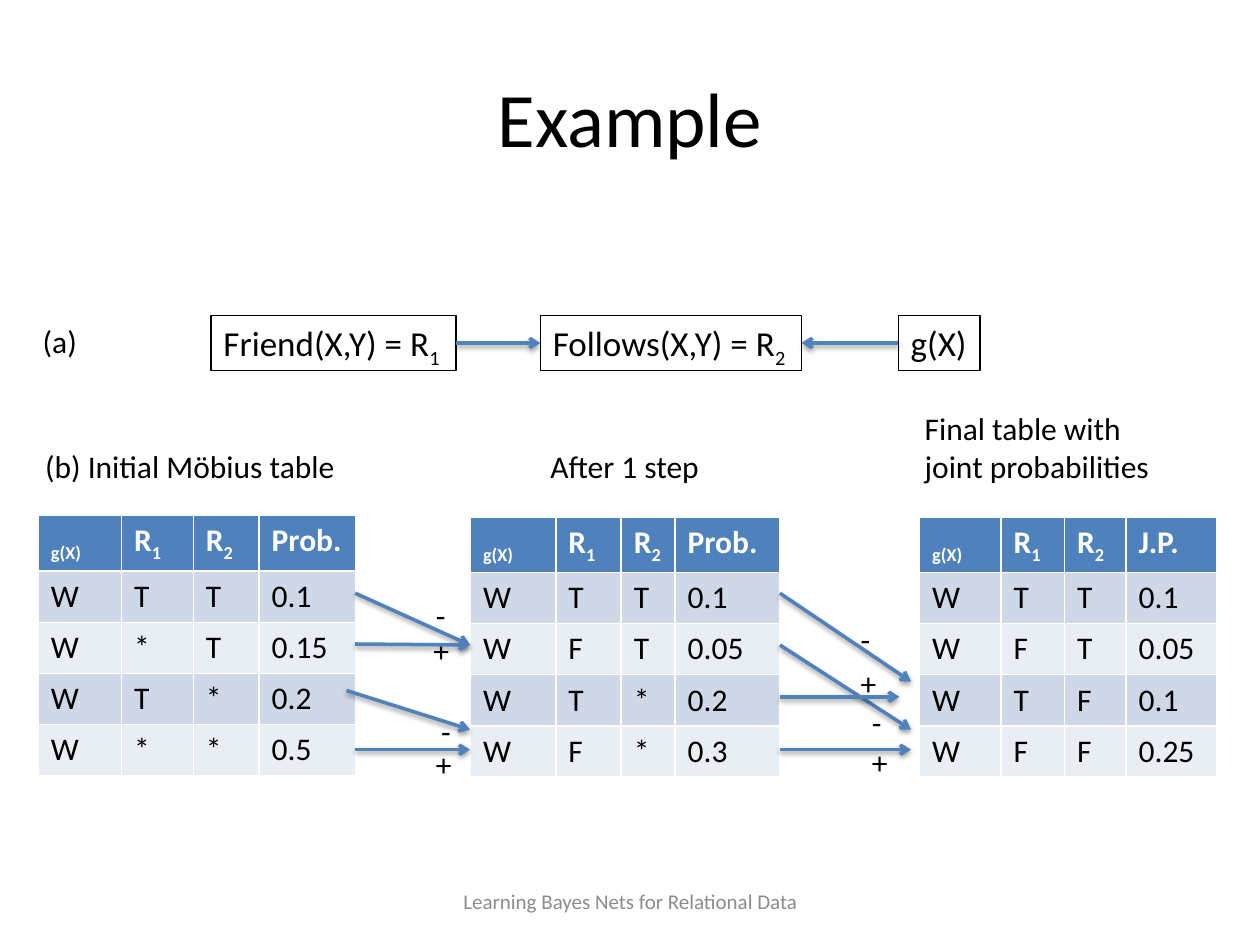
from lxml import etree
from pptx import Presentation, util as u
from pptx.dml.color import RGBColor
from pptx.enum import shapes, text
from pptx.oxml import ns

COLORS = {"black": "000000", "white": "FFFFFF", "blue": "4F81BD",
          "band": "D0D8E8", "light": "E9EDF4", "grey": "8C8C8C"}
LEFT, CENTER = text.PP_ALIGN.LEFT, text.PP_ALIGN.CENTER
TOP, MIDDLE, BOTTOM = (text.MSO_ANCHOR.TOP, text.MSO_ANCHOR.MIDDLE,
                       text.MSO_ANCHOR.BOTTOM)


def write(frame, content, size=18, color="black", bold=False, align=LEFT):
    """Fill the frame with one paragraph; what follows "_" is a subscript."""
    paragraph = frame.paragraphs[0]
    paragraph.alignment = align
    paragraph.font.name = "Calibri"
    paragraph.font.size = u.Pt(size)
    paragraph.font.bold = bold
    paragraph.font.color.rgb = RGBColor.from_string(COLORS[color])
    base, _, subscript = content.partition("_")
    if base:
        paragraph.add_run().text = base
    if subscript:
        run = paragraph.add_run()
        run.text = subscript
        run._r.get_or_add_rPr().set("baseline", "-25000")


def add_arrow(x1, y1, x2, y2):
    arrow = slide.shapes.add_connector(
        shapes.MSO_CONNECTOR.STRAIGHT, u.Pt(x1), u.Pt(y1), u.Pt(x2), u.Pt(y2))
    arrow.line.color.rgb = RGBColor.from_string(COLORS["blue"])
    arrow.line.width = u.Pt(2)
    etree.SubElement(arrow.line._get_or_add_ln(), ns.qn("a:tailEnd"), type="arrow")
    effects = etree.SubElement(arrow._element.spPr, ns.qn("a:effectLst"))
    shadow = etree.SubElement(
        effects, ns.qn("a:outerShdw"), blurRad=str(u.Pt(3.1)),
        dist=str(u.Pt(1.6)), dir="5400000", rotWithShape="0")
    shade = etree.SubElement(shadow, ns.qn("a:srgbClr"), val=COLORS["black"])
    etree.SubElement(shade, ns.qn("a:alpha"), val="38000")
    return arrow


presentation = Presentation()
presentation.slide_width, presentation.slide_height = u.Pt(720), u.Pt(540)
slide = presentation.slides.add_slide(presentation.slide_layouts[6])

# Title, captions and footer: text, left, top, width, height, size, colour, align, anchor
labels = [
    ("Example", 36, 21.6, 648, 90, 44, "black", CENTER, MIDDLE),
    ("(a)", 17.3, 180.7, 34.6, 29, 18, "black", LEFT, TOP),
    ("(b) Initial Möbius table", 18.7, 229.7, 190.8, 51, 18, "black", LEFT, BOTTOM),
    ("After 1 step", 307.4, 229.7, 104.4, 51, 18, "black", LEFT, BOTTOM),
    ("Final table with joint probabilities", 521.3, 229.7, 150.5, 51, 18,
     "black", LEFT, BOTTOM),
    ("Learning Bayes Nets for Relational Data", 246.2, 500.4, 228.2, 28.8, 12,
     "grey", CENTER, MIDDLE),
]
# Signs of the steps: text, left, top
signs = [("-", 244, 337), ("+", 242.6, 357.1), ("-", 247, 403.2), ("+", 244, 421.9),
         ("-", 486.7, 350.6), ("+", 486.7, 375.8), ("-", 493.2, 398.2),
         ("+", 493.2, 421.2)]
labels += [(sign, left, top, 12.2, 29, 18, "black", LEFT, TOP)
           for sign, left, top in signs]
for content, left, top, width, height, size, color, align, anchor in labels:
    box = slide.shapes.add_textbox(u.Pt(left), u.Pt(top), u.Pt(width), u.Pt(height))
    box.text_frame.word_wrap = True
    box.text_frame.vertical_anchor = anchor
    write(box.text_frame, content, size, color, align=align)

# (a) Bayes net
nodes = []
for content, left, width in [("Friend(X,Y) = R_1", 120.6, 140),
                             ("Follows(X,Y) = R_2", 308.8, 149.2),
                             ("g(X)", 513.3, 46.8)]:
    node = slide.shapes.add_shape(shapes.MSO_SHAPE.RECTANGLE, u.Pt(left), u.Pt(180.2),
                                  u.Pt(width), u.Pt(31.6))
    node.shadow.inherit = False
    node.fill.background()
    node.line.color.rgb = RGBColor.from_string(COLORS["black"])
    node.line.width = u.Pt(0.75)
    node.text_frame.word_wrap = False
    node.text_frame.vertical_anchor = TOP
    write(node.text_frame, content, 20)
    nodes.append(node)
friend, follows, gender = nodes
for parent, parent_side, child_side in [(friend, 3, 1), (gender, 1, 3)]:
    edge = add_arrow(0, 0, 1, 1)
    edge.begin_connect(parent, parent_side)
    edge.end_connect(follows, child_side)

# (b) Tables: left, top, column widths, last heading, rows
ROW_HEIGHT = 29.2
tables = [
    (21.9, 294.6, (47.6, 41, 37.6, 55.4), "Prob.",
     ("W T T 0.1", "W * T 0.15", "W T * 0.2", "W * * 0.5")),
    (268.8, 295.4, (48.8, 37.4, 30.8, 59.6), "Prob.",
     ("W T T 0.1", "W F T 0.05", "W T * 0.2", "W F * 0.3")),
    (525.5, 295.4, (46.6, 36.2, 35.2, 51.8), "J.P.",
     ("W T T 0.1", "W F T 0.05", "W T F 0.1", "W F F 0.25")),
]
for left, top, widths, heading, body in tables:
    rows = [("_g(X)", "R_1", "R_2", heading)] + [row.split() for row in body]
    table = slide.shapes.add_table(
        len(rows), len(widths), u.Pt(left), u.Pt(top), u.Pt(sum(widths)),
        u.Pt(ROW_HEIGHT * len(rows))).table
    for column, width in zip(table.columns, widths):
        column.width = u.Pt(width)
    for i, row in enumerate(rows):
        table.rows[i].height = u.Pt(ROW_HEIGHT)
        header = i == 0
        fill = "blue" if header else "band" if i % 2 else "light"
        for j, content in enumerate(row):
            cell = table.cell(i, j)
            cell.fill.solid()
            cell.fill.fore_color.rgb = RGBColor.from_string(COLORS[fill])
            write(cell.text_frame, content, color="white" if header else "black",
                  bold=header)

# Arrows from each table to the next
for ends in [(203, 339, 268.6, 368.6), (203, 368, 268.6, 368.6),
             (198, 394.6, 268.6, 416.9), (203, 428.4, 268.6, 428.4),
             (445.7, 339, 520.6, 389.5), (445.7, 368.6, 520.6, 416.9),
             (445.7, 398.2, 514, 398.2), (445.7, 428.4, 520.6, 428.4)]:
    add_arrow(*ends)

presentation.save("out.pptx")
